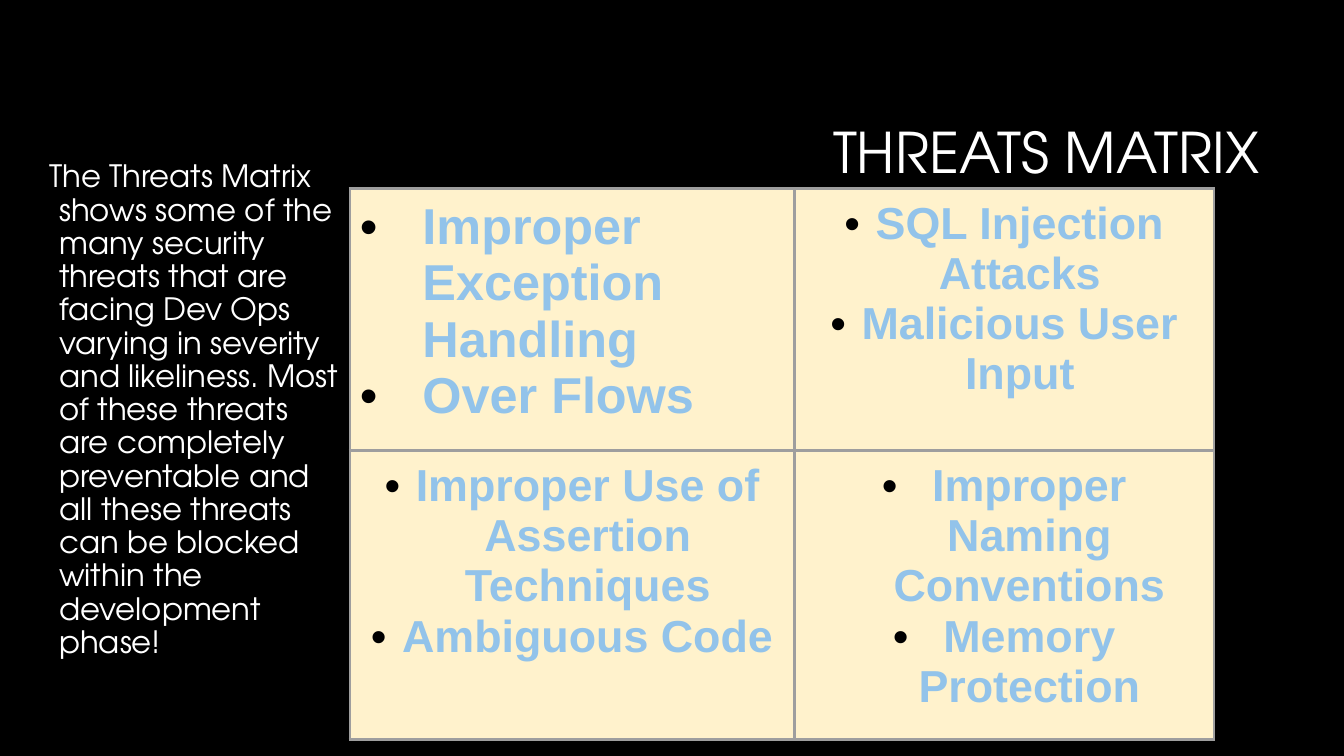
from pptx import Presentation
from pptx.dml.color import RGBColor
from pptx.enum.text import MSO_ANCHOR, PP_ALIGN
from pptx.oxml import parse_xml
from pptx.oxml.ns import nsdecls
from pptx.util import Inches, Pt

BLACK = RGBColor(0x00, 0x00, 0x00)
WHITE = RGBColor(0xFF, 0xFF, 0xFF)
CREAM = RGBColor(0xFF, 0xF2, 0xCC)
SKY = RGBColor(0x92, 0xC3, 0xEA)
GREY = RGBColor(0x9E, 0x9E, 0x9E)
HEADING_FONT = "TeX Gyre Adventor"


def write(paragraph, text, size, font=HEADING_FONT, color=WHITE, bold=False,
          align=PP_ALIGN.LEFT, spacing=None, left=0, hanging=0, bullet=False):
    paragraph.alignment = align
    if spacing:
        paragraph.line_spacing = spacing
    properties = paragraph._p.get_or_add_pPr()
    properties.set("marL", str(Inches(left)))
    properties.set("indent", str(-Inches(hanging)))
    if bullet:
        for element in (f'<a:buClr {nsdecls("a")}><a:srgbClr val="{BLACK}"/></a:buClr>',
                        f'<a:buFont {nsdecls("a")} typeface="Arial"/>',
                        f'<a:buChar {nsdecls("a")} char="•"/>'):
            properties.append(parse_xml(element))
    run = paragraph.add_run()
    run.text = text
    run.font.name = font
    run.font.size = Pt(size)
    run.font.bold = bold
    run.font.color.rgb = color


presentation = Presentation()
presentation.slide_width = Inches(13.33)
presentation.slide_height = Inches(7.5)
slide = presentation.slides.add_slide(presentation.slide_layouts[6])
slide.background.fill.solid()
slide.background.fill.fore_color.rgb = BLACK

title = slide.shapes.add_textbox(Inches(3.17), Inches(0.84), Inches(9.42), Inches(1.41))
title.text_frame.word_wrap = True
title.text_frame.vertical_anchor = MSO_ANCHOR.MIDDLE
write(title.text_frame.paragraphs[0], "THREATS MATRIX", 40,
      align=PP_ALIGN.RIGHT, spacing=0.9)

summary = slide.shapes.add_textbox(Inches(0.24), Inches(1.55), Inches(3.23), Inches(5.26))
summary.text_frame.word_wrap = True
write(summary.text_frame.paragraphs[0],
      "The Threats Matrix shows some of the many security threats that are facing "
      "Dev Ops varying in severity and likeliness. Most of these threats are "
      "completely preventable and all these threats can be blocked within the "
      "development phase!",
      22, spacing=0.9, left=0.25, hanging=0.1)

column_widths = [4.41, 4.16]
row_heights = [2.44, 2.7]
threats = [
    [(["Improper Exception Handling", "Over Flows"], 36, PP_ALIGN.LEFT, 0.62),
     (["SQL Injection Attacks", "Malicious User Input"], 32, PP_ALIGN.CENTER, 0.31)],
    [(["Improper Use of Assertion Techniques", "Ambiguous Code"], 32, PP_ALIGN.CENTER, 0.31),
     (["Improper Naming Conventions", "Memory Protection"], 32, PP_ALIGN.CENTER, 0.5)],
]

matrix = slide.shapes.add_table(2, 2, Inches(3.47), Inches(1.87),
                                Inches(sum(column_widths)), Inches(sum(row_heights))).table
matrix.first_row = False
matrix.horz_banding = False
for column, width in zip(matrix.columns, column_widths):
    column.width = Inches(width)
for row, height in zip(matrix.rows, row_heights):
    row.height = Inches(height)

for row_index, row_threats in enumerate(threats):
    for column_index, (names, size, align, indent) in enumerate(row_threats):
        cell = matrix.cell(row_index, column_index)
        cell.margin_left = cell.margin_right = Inches(0.1)
        cell.margin_top = cell.margin_bottom = Inches(0.1)
        cell.fill.solid()
        cell.fill.fore_color.rgb = CREAM
        cell_properties = cell._tc.get_or_add_tcPr()
        for position, side in enumerate(("lnL", "lnR", "lnT", "lnB")):
            cell_properties.insert(position, parse_xml(
                f'<a:{side} {nsdecls("a")} w="{Pt(2.25)}"><a:solidFill>'
                f'<a:srgbClr val="{GREY}"/></a:solidFill></a:{side}>'))
        frame = cell.text_frame
        for index, name in enumerate(names):
            paragraph = frame.add_paragraph() if index else frame.paragraphs[0]
            write(paragraph, name, size, font="Arial", color=SKY, bold=True,
                  align=align, left=indent, hanging=indent, bullet=True)

presentation.save("out.pptx")
